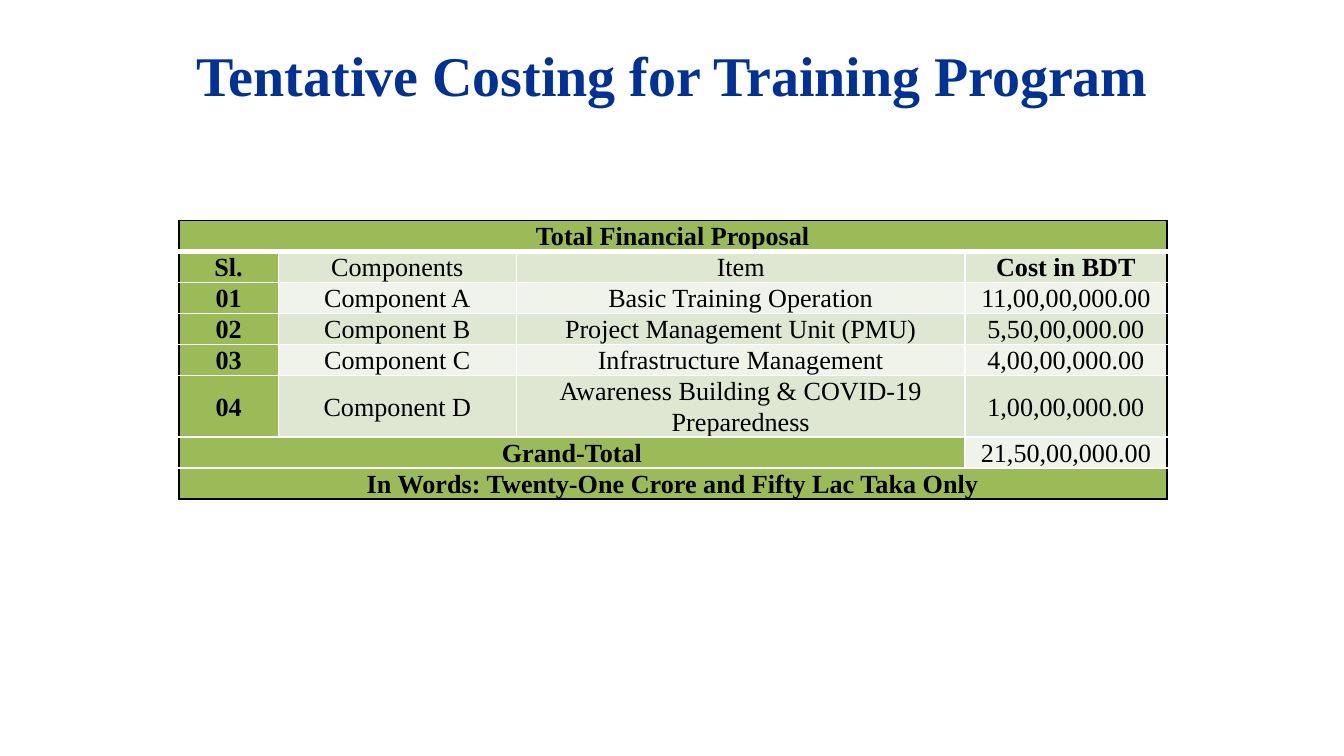
"""Build the training programme costing slide with its financial table."""
from dataclasses import dataclass

from lxml import etree
from pptx import Presentation
from pptx.dml.color import RGBColor
from pptx.enum.text import MSO_ANCHOR, MSO_AUTO_SIZE, PP_ALIGN
from pptx.oxml.ns import qn
from pptx.slide import Slide
from pptx.table import _Cell
from pptx.text.text import TextFrame
from pptx.util import Cm, Pt

CENTER = PP_ALIGN.CENTER
MIDDLE = MSO_ANCHOR.MIDDLE
NO_AUTOFIT = MSO_AUTO_SIZE.NONE
FONT = "Times New Roman"
COLORS = {
    "title": "003296",
    "text": "000000",
    "outer": "000000",
    "inner": "FFFFFF",
    "accent": "9BBB59",
    "band_dark": "DEE7D1",
    "band_light": "EFF3EA",
}
LEFT, WIDTH = 3.38, 18.67
COLUMN_WIDTHS = (1.88, 4.5, 8.48, 3.81)
LINE_HEIGHT = 0.58


@dataclass(frozen=True)
class CostRow:
    texts: tuple[str, ...]
    span: int = 1
    lines: int = 1
    bold_cost: bool = False


ROWS = (
    CostRow(("Total Financial Proposal",), span=4),
    CostRow(("Sl.", "Components", "Item", "Cost in BDT"), bold_cost=True),
    CostRow(("01", "Component A", "Basic Training Operation", "11,00,00,000.00")),
    CostRow(("02", "Component B", "Project Management Unit (PMU)", "5,50,00,000.00")),
    CostRow(("03", "Component C", "Infrastructure Management", "4,00,00,000.00")),
    CostRow(("04", "Component D", "Awareness Building & COVID-19 Preparedness",
             "1,00,00,000.00"), lines=2),
    CostRow(("Grand-Total", "21,50,00,000.00"), span=3),
    CostRow(("In Words: Twenty-One Crore and Fifty Lac Taka Only",), span=4),
)


def set_text(tf: TextFrame, text: str, size: float, color: str, bold: bool) -> None:
    tf.text = text
    p = tf.paragraphs[0]
    p.alignment = CENTER
    font = p.runs[0].font
    font.name, font.size, font.bold = FONT, Pt(size), bold
    font.color.rgb = RGBColor.from_string(COLORS[color])


def add_border(cell: _Cell, side: str, color: str, width: float) -> None:
    tc_pr = cell._tc.get_or_add_tcPr()
    ln = etree.SubElement(tc_pr, qn(f"a:ln{side}"), w=str(Pt(width)))
    fill = etree.SubElement(ln, qn("a:solidFill"))
    etree.SubElement(fill, qn("a:srgbClr"), val=COLORS[color])


def style_cell(cell: _Cell, row: int, col: int, span: int) -> None:
    edges = {"L": col == 0, "R": col + span == len(COLUMN_WIDTHS),
             "T": row == 0, "B": row == len(ROWS) - 1}
    for side, is_outer in edges.items():
        under_heading = (row, side) in ((0, "B"), (1, "T"))
        add_border(cell, side, "outer" if is_outer else "inner",
                   3 if under_heading else 1)
    band = "band_dark" if row % 2 else "band_light"
    cell.fill.solid()
    cell.fill.fore_color.rgb = RGBColor.from_string(
        COLORS["accent" if col == 0 else band])
    cell.vertical_anchor = MIDDLE
    cell.margin_left = cell.margin_right = Cm(0.18)
    cell.margin_top = cell.margin_bottom = 0


def add_title(s: Slide, text: str) -> None:
    sp = s.shapes.title
    sp.left, sp.top, sp.width, sp.height = Cm(LEFT), Cm(0.74), Cm(WIDTH), Cm(1.32)
    tf = sp.text_frame
    set_text(tf, text, 30, "title", True)
    tf.auto_size = NO_AUTOFIT
    tf.vertical_anchor = MIDDLE


def add_cost_table(s: Slide) -> None:
    height = LINE_HEIGHT * sum(row.lines for row in ROWS)
    table = s.shapes.add_table(len(ROWS), len(COLUMN_WIDTHS), Cm(LEFT), Cm(4.17),
                               Cm(WIDTH), Cm(height)).table
    for column, width in zip(table.columns, COLUMN_WIDTHS):
        column.width = Cm(width)
    for i, row in enumerate(ROWS):
        table.rows[i].height = Cm(LINE_HEIGHT * row.lines)
        if row.span > 1:
            table.cell(i, 0).merge(table.cell(i, row.span - 1))
        for j, text in enumerate(row.texts):
            col = j + row.span - 1 if j else 0
            cell = table.cell(i, col)
            style_cell(cell, i, col, 1 if j else row.span)
            is_cost = col == len(COLUMN_WIDTHS) - 1
            set_text(cell.text_frame, text, 14, "text",
                     col == 0 or (is_cost and row.bold_cost))
            cell.text_frame.paragraphs[0].line_spacing = 1.07


def main() -> None:
    prs = Presentation()
    prs.slide_width, prs.slide_height = Cm(25.4), Cm(14.29)
    s = prs.slides.add_slide(prs.slide_layouts[5])
    add_title(s, "Tentative Costing for Training Program")
    add_cost_table(s)
    prs.save("out.pptx")


if __name__ == "__main__":
    main()
